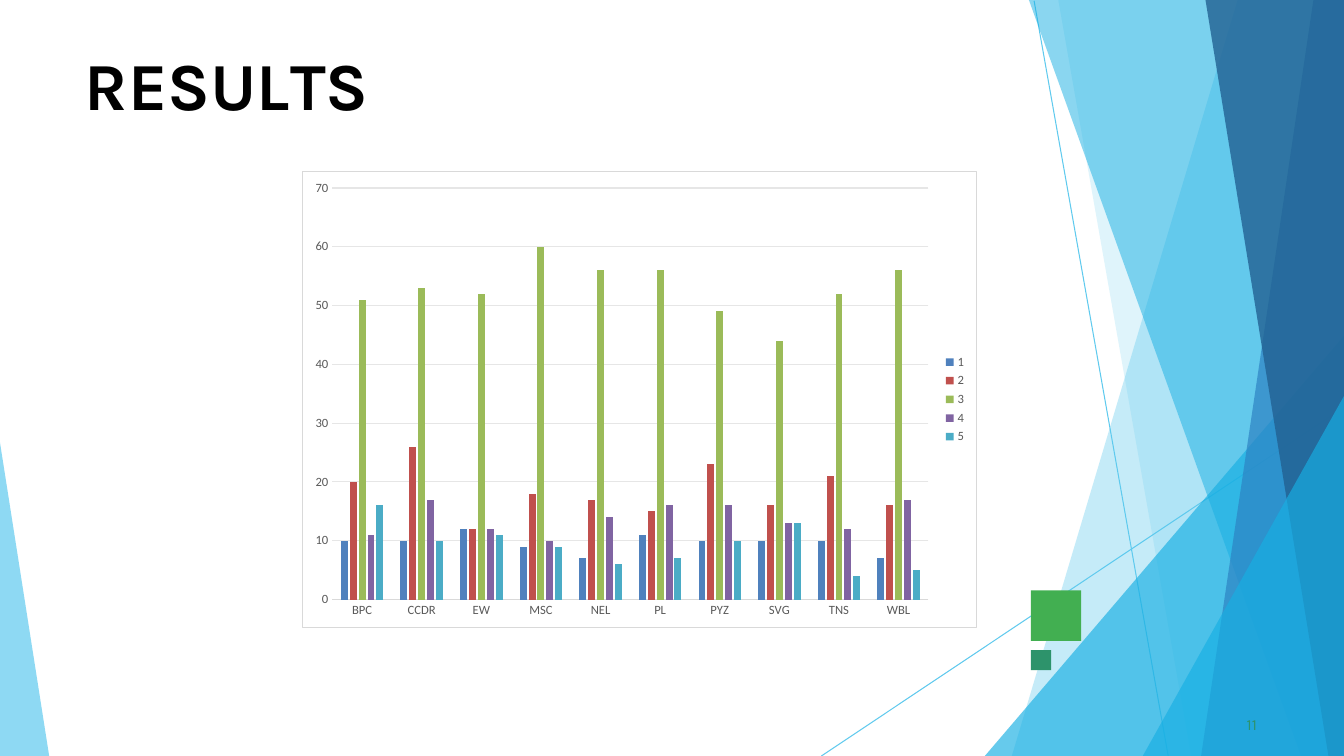
"""Build the results slide: faceted backdrop, title, clustered column chart and page number."""
from dataclasses import dataclass
from typing import Any

import pptx
import pptx.chart.data
import pptx.dml.color
import pptx.enum.chart
import pptx.enum.shapes
import pptx.oxml
import pptx.oxml.ns
import pptx.util

Cm, Pt, RGB = pptx.util.Cm, pptx.util.Pt, pptx.dml.color.RGBColor
qn = pptx.oxml.ns.qn

SKY = RGB(0x5F, 0xCA, 0xEE)
CYAN = RGB(0x17, 0xAF, 0xE3)
BLUE = RGB(0x2D, 0x83, 0xC3)
NAVY = RGB(0x22, 0x61, 0x92)
GREEN = RGB(0x42, 0xAF, 0x51)
TEAL = RGB(0x2D, 0x93, 0x6B)
BLACK = RGB(0, 0, 0)
GREY = RGB(0x59, 0x59, 0x59)
AXIS = RGB(0xD9, 0xD9, 0xD9)
GRID = RGB(0xE6, 0xE6, 0xE6)
SERIES_COLORS = [RGB(0x4F, 0x81, 0xBD), RGB(0xC0, 0x50, 0x4D), RGB(0x9B, 0xBB, 0x59),
                 RGB(0x80, 0x64, 0xA2), RGB(0x4B, 0xAC, 0xC6)]

W, H = 33.87, 19.05
Point = tuple[float, float]


@dataclass
class Facet:
    points: list[Point]
    color: RGB
    alpha: int


@dataclass
class Square:
    left: float
    top: float
    size: float
    color: RGB


@dataclass
class Label:
    box: tuple[float, float, float, float]
    runs: list[tuple[str, int]]
    font: dict[str, Any]
    color: RGB
    before: float
    indent: float


def band(top: float, bottom: float) -> list[Point]:
    """Return the outline from a slanted edge to the right side."""
    return [(W, 0), (top, 0), (bottom, H), (W, H)]


def corner(side: float, apex: float, foot: float) -> list[Point]:
    """Return a triangle standing in a bottom corner."""
    return [(side, apex), (foot, H), (side, H)]


RAYS = [((26.06, 0.02), (29.44, H)), ((W, 10.26), (20.7, H))]
FACETS = [
    Facet(band(31.19, 25.5), SKY, 36),
    Facet(band(26.67, 30.02), SKY, 20),
    Facet(corner(W, 8.46, 24.82), CYAN, 66),
    Facet(band(25.93, 32.79), CYAN, 50),
    Facet(band(33.1, 30.27), BLUE, 70),
    Facet(band(30.38, 33.48), NAVY, 80),
    Facet(corner(W, 9.98, 28.8), CYAN, 66),
    Facet(corner(0, 11.15, 1.24), SKY, 70),
]
SQUARES = [Square(25.98, 14.88, 1.27, GREEN), Square(25.98, 16.38, 0.51, TEAL)]
LABELS = [
    Label((2.11, 1.07, 8.03, 2.29),
          [("R", 0), ("E", -40), ("S", 10), ("U", -30), ("L", -400), ("TS", 0)],
          {"name": "Karla", "size": Pt(48), "bold": True}, BLACK, 1.1, 0.03),
    Label((31.32, 17.98, 0.64, 0.48), [("11", 10)],
          {"name": "Karla", "size": Pt(11)}, TEAL, 0.6, 0.1),
]
CATEGORIES = ["BPC", "CCDR", "EW", "MSC", "NEL", "PL", "PYZ", "SVG", "TNS", "WBL"]
SCORES = {
    "1": [10, 10, 12, 9, 7, 11, 10, 10, 10, 7],
    "2": [20, 26, 12, 18, 17, 15, 23, 16, 21, 16],
    "3": [51, 53, 52, 60, 56, 56, 49, 44, 52, 56],
    "4": [11, 17, 12, 10, 14, 16, 16, 13, 12, 17],
    "5": [16, 10, 11, 9, 6, 7, 10, 13, 4, 5],
}


def apply(obj: Any, values: dict[str, Any]) -> None:
    """Set every attribute named in the dict."""
    for name, value in values.items():
        setattr(obj, name, value)


def paint(sp: Any, color: RGB) -> None:
    """Give a shape a flat fill with no outline or shadow."""
    sp.shadow.inherit = False
    sp.fill.solid()
    sp.fill.fore_color.rgb = color
    sp.line.fill.background()


def stroke(line: Any, color: RGB) -> None:
    """Give a line its colour at the common thin width."""
    line.color.rgb = color
    line.width = Pt(0.75)


def add_ray(s: Any, start: Point, end: Point) -> None:
    """Draw a thin straight line."""
    ends = [Cm(v) for v in start + end]
    cx = s.shapes.add_connector(pptx.enum.shapes.MSO_CONNECTOR.STRAIGHT, *ends)
    stroke(cx.line, SKY)
    pptx.oxml.ns
    cx._element.spPr.append(pptx.oxml.parse_xml(
        f"<a:effectLst {pptx.oxml.ns.nsdecls('a')}/>"))


def add_facet(s: Any, facet: Facet) -> None:
    """Draw a translucent polygon."""
    first, *rest = [(Cm(x), Cm(y)) for x, y in facet.points]
    fb = s.shapes.build_freeform(*first)
    fb.add_line_segments(rest, close=True)
    sp = fb.convert_to_shape()
    paint(sp, facet.color)
    clr = sp._element.spPr.find(qn("a:solidFill"))[0]
    clr.append(pptx.oxml.parse_xml(
        f"<a:alpha {pptx.oxml.ns.nsdecls('a')} val='{facet.alpha * 1000}'/>"))


def add_square(s: Any, square: Square) -> None:
    """Draw a plain accent square."""
    box = [Cm(v) for v in (square.left, square.top, square.size, square.size)]
    paint(s.shapes.add_shape(pptx.enum.shapes.MSO_SHAPE.RECTANGLE, *box), square.color)


def add_label(s: Any, label: Label) -> None:
    """Place one line of text with letter spacing per run."""
    tf = s.shapes.add_textbox(*[Cm(v) for v in label.box]).text_frame
    apply(tf, {"word_wrap": True, "margin_left": 0, "margin_right": 0,
               "margin_top": Cm(0.03), "margin_bottom": 0})
    p = tf.paragraphs[0]
    p.space_before = Pt(label.before)
    p._p.get_or_add_pPr().set("marL", str(Cm(label.indent)))
    for text, spacing in label.runs:
        r = p.add_run()
        r.text = text
        apply(r.font, label.font)
        r.font.color.rgb = label.color
        r._r.get_or_add_rPr().set("spc", str(spacing))


def add_scores(s: Any) -> None:
    """Draw the clustered column chart."""
    data = pptx.chart.data.CategoryChartData()
    data.categories = CATEGORIES
    for name, values in SCORES.items():
        data.add_series(name, values)
    xl = pptx.enum.chart
    chart = s.shapes.add_chart(xl.XL_CHART_TYPE.COLUMN_CLUSTERED, Cm(7.6), Cm(4.31),
                               Cm(17.02), Cm(11.51), data).chart
    apply(chart, {"has_title": False, "has_legend": True})
    apply(chart.legend, {"position": xl.XL_LEGEND_POSITION.RIGHT, "include_in_layout": False})
    apply(chart.plots[0], {"gap_width": 246, "overlap": -28, "vary_by_categories": False})
    for series, color in zip(chart.plots[0].series, SERIES_COLORS):
        series.format.fill.solid()
        series.format.fill.fore_color.rgb = color
    for axis in (chart.category_axis, chart.value_axis):
        axis.major_tick_mark = axis.minor_tick_mark = xl.XL_TICK_MARK.NONE
    stroke(chart.category_axis.format.line, AXIS)
    chart.value_axis.format.line.fill.background()
    stroke(chart.value_axis.major_gridlines.format.line, GRID)
    texts = [(chart.font, 10, BLACK), (chart.legend.font, 9, GREY),
             (chart.category_axis.tick_labels.font, 9, GREY),
             (chart.value_axis.tick_labels.font, 9, GREY)]
    for font, size, color in texts:
        apply(font, {"name": "Calibri", "size": Pt(size)})
        font.color.rgb = color
    chart._chartSpace.find(qn("c:chart")).addnext(pptx.oxml.parse_xml(
        f"<c:spPr {pptx.oxml.ns.nsdecls('c', 'a')}>"
        "<a:solidFill><a:srgbClr val='FFFFFF'/></a:solidFill>"
        f"<a:ln w='{Pt(0.75)}'><a:solidFill><a:srgbClr val='{AXIS}'/></a:solidFill></a:ln>"
        "</c:spPr>"))


def main() -> None:
    """Assemble and save the slide."""
    prs = pptx.Presentation()
    apply(prs, {"slide_width": Cm(W), "slide_height": Cm(H)})
    s = prs.slides.add_slide(prs.slide_layouts[6])
    for start, end in RAYS:
        add_ray(s, start, end)
    for add, items in ((add_facet, FACETS), (add_square, SQUARES), (add_label, LABELS)):
        for item in items:
            add(s, item)
    add_scores(s)
    prs.save("out.pptx")


if __name__ == "__main__":
    main()
